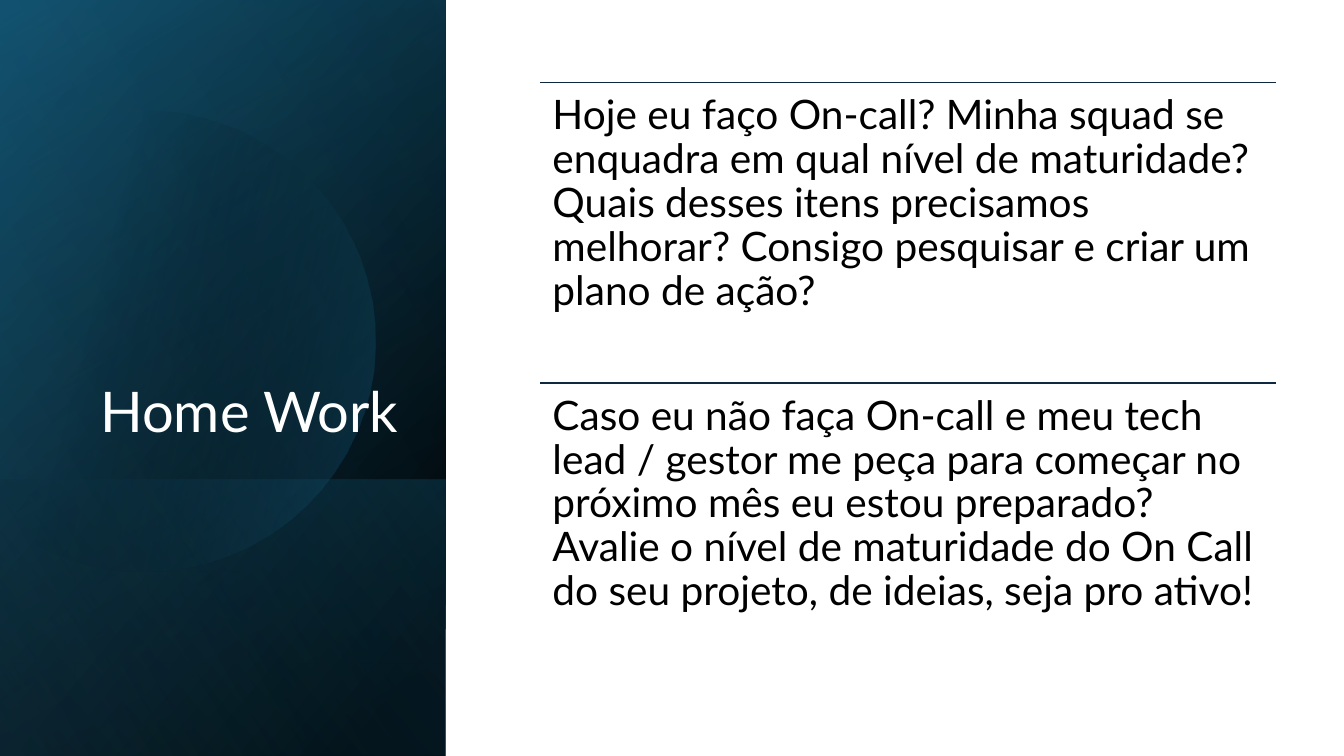
from pptx import Presentation
from pptx.dml.color import RGBColor
from pptx.enum.shapes import MSO_CONNECTOR, MSO_SHAPE
from pptx.enum.text import MSO_ANCHOR, PP_ALIGN
from pptx.oxml import parse_xml
from pptx.oxml.ns import nsdecls, qn
from pptx.util import Inches, Pt

RECTANGLE, STRAIGHT = MSO_SHAPE.RECTANGLE, MSO_CONNECTOR.STRAIGHT
TOP, BOTTOM = MSO_ANCHOR.TOP, MSO_ANCHOR.BOTTOM
LEFT, RIGHT = PP_ALIGN.LEFT, PP_ALIGN.RIGHT

BLACK = RGBColor(0x00, 0x00, 0x00)
WHITE = RGBColor(0xFF, 0xFF, 0xFF)
NAVY = RGBColor(0x0E, 0x28, 0x41)
TEAL = RGBColor(0x15, 0x60, 0x82)
DARK_TEAL = RGBColor(0x10, 0x48, 0x62)
SKY = RGBColor(0x46, 0xB1, 0xE1)
FONT = "Lato"

# Content
TITLE = "Home Work"
QUESTIONS = [
    "Hoje eu faço On-call? Minha squad se enquadra em qual nível de maturidade? "
    "Quais desses itens precisamos melhorar? Consigo pesquisar e criar um plano de ação?",
    "Caso eu não faça On-call e meu tech lead / gestor me peça para começar no próximo "
    "mês eu estou preparado? Avalie o nível de maturidade do On Call do seu projeto, "
    "de ideias, seja pro ativo!",
]

# Side panel: top, height, angle, stops as (position %, colour, opacity %)
PANEL_WIDTH, SLIDE_HEIGHT = 4.42, 7.5
LAYERS_BELOW = [
    (0, SLIDE_HEIGHT, 50, [(8, BLACK, 100), (100, DARK_TEAL, 100)]),
    (0, SLIDE_HEIGHT, 30, [(0, BLACK, 0), (99, TEAL, 46)]),
    (4.76, 2.74, 130, [(2, TEAL, 29), (100, BLACK, 30)]),
]
LAYERS_ABOVE = [(0, SLIDE_HEIGHT, 120, [(0, BLACK, 0), (99, SKY, 11)])]

# Circle cut by the left edge: start point, then Bezier triples
CIRCLE_START = (1.49, 1.1)
CIRCLE_CURVES = [
    [(2.46, 1.12), (3.35, 1.77), (3.63, 2.75)],
    [(3.98, 3.97), (3.28, 5.23), (2.07, 5.58)],
    [(1.31, 5.8), (0.53, 5.61), (0, 5.16)],
    [(0, 4), (0, 2.8), (0, 1.61)],
    [(0.23, 1.42), (0.5, 1.28), (0.8, 1.19)],
    [(1.03, 1.13), (1.26, 1.1), (1.49, 1.1)],
]
CIRCLE_ANGLE, CIRCLE_STOPS = 14, [(29, BLACK, 0), (100, TEAL, 43)]
CURVE_STEPS = 16

# Question rows
ROW_LEFT, ROW_TOP, ROW_WIDTH, ROW_HEIGHT = 5.36, 0.82, 7.3, 2.98


def fill_gradient(shape, angle, stops):
    shape.shadow.inherit = False
    shape.line.fill.background()
    shape.fill.gradient()
    stop_xml = "".join(
        f'<a:gs pos="{position * 1000}"><a:srgbClr val="{color}">'
        f'<a:alpha val="{opacity * 1000}"/></a:srgbClr></a:gs>'
        for position, color, opacity in stops)
    gradient = parse_xml(
        f'<a:gradFill {nsdecls("a")} rotWithShape="1"><a:gsLst>{stop_xml}</a:gsLst>'
        f'<a:lin ang="{angle * 60000}" scaled="0"/></a:gradFill>')
    properties = shape._element.spPr
    properties.replace(properties.find(qn("a:gradFill")), gradient)


def add_layer(slide, top, height, angle, stops):
    # The layer is turned a quarter, so its frame swaps width and height
    left = (PANEL_WIDTH - height) / 2
    frame_top = top + (height - PANEL_WIDTH) / 2
    layer = slide.shapes.add_shape(RECTANGLE, Inches(left), Inches(frame_top),
                                   Inches(height), Inches(PANEL_WIDTH))
    layer.rotation = 90
    layer._element.spPr.xfrm.set("flipH", "1")
    fill_gradient(layer, angle, stops)


def curve_points(start, control1, control2, end):
    for step in range(1, CURVE_STEPS + 1):
        t = step / CURVE_STEPS
        weights = ((1 - t) ** 3, 3 * t * (1 - t) ** 2, 3 * t * t * (1 - t), t ** 3)
        yield tuple(Inches(sum(w * p[axis] for w, p in
                               zip(weights, (start, control1, control2, end))))
                    for axis in (0, 1))


def add_circle(slide):
    points, start = [], CIRCLE_START
    for curve in CIRCLE_CURVES:
        points += curve_points(start, *curve)
        start = curve[-1]
    builder = slide.shapes.build_freeform(*(Inches(value) for value in CIRCLE_START))
    builder.add_line_segments(points, close=True)
    fill_gradient(builder.convert_to_shape(), CIRCLE_ANGLE, CIRCLE_STOPS)


def add_text(slide, text, left, top, width, height, *, size, color,
             align=LEFT, anchor=TOP, inset_x=0.1, inset_y=0.05):
    box = slide.shapes.add_textbox(Inches(left), Inches(top), Inches(width), Inches(height))
    frame = box.text_frame
    frame.word_wrap = True
    frame.vertical_anchor = anchor
    frame.margin_left = frame.margin_right = Inches(inset_x)
    frame.margin_top = frame.margin_bottom = Inches(inset_y)
    paragraph = frame.paragraphs[0]
    paragraph.alignment = align
    paragraph.line_spacing = 0.9
    run = paragraph.add_run()
    run.text = text
    run.font.name = FONT
    run.font.size = Pt(size)
    run.font.color.rgb = color


def add_rule(slide, left, top, width):
    rule = slide.shapes.add_connector(STRAIGHT, Inches(left), Inches(top),
                                      Inches(left + width), Inches(top))
    rule.line.color.rgb = NAVY
    rule.line.width = Pt(1)
    rule._element.spPr.append(parse_xml(f'<a:effectLst {nsdecls("a")}/>'))


def main():
    deck = Presentation()
    deck.slide_width, deck.slide_height = Inches(13.33), Inches(SLIDE_HEIGHT)
    slide = deck.slides.add_slide(deck.slide_layouts[6])

    # Side panel
    for layer in LAYERS_BELOW:
        add_layer(slide, *layer)
    add_circle(slide)
    for layer in LAYERS_ABOVE:
        add_layer(slide, *layer)
    add_text(slide, TITLE, 0.64, 1.84, 3.41, 2.62, size=40, color=WHITE,
             align=RIGHT, anchor=BOTTOM)

    # Questions, each under a rule
    for row, question in enumerate(QUESTIONS):
        top = ROW_TOP + row * ROW_HEIGHT
        add_rule(slide, ROW_LEFT, top, ROW_WIDTH)
        add_text(slide, question, ROW_LEFT, top, ROW_WIDTH, ROW_HEIGHT, size=29,
                 color=BLACK, inset_x=0.12, inset_y=0.12)

    deck.save("out.pptx")


if __name__ == "__main__":
    main()
